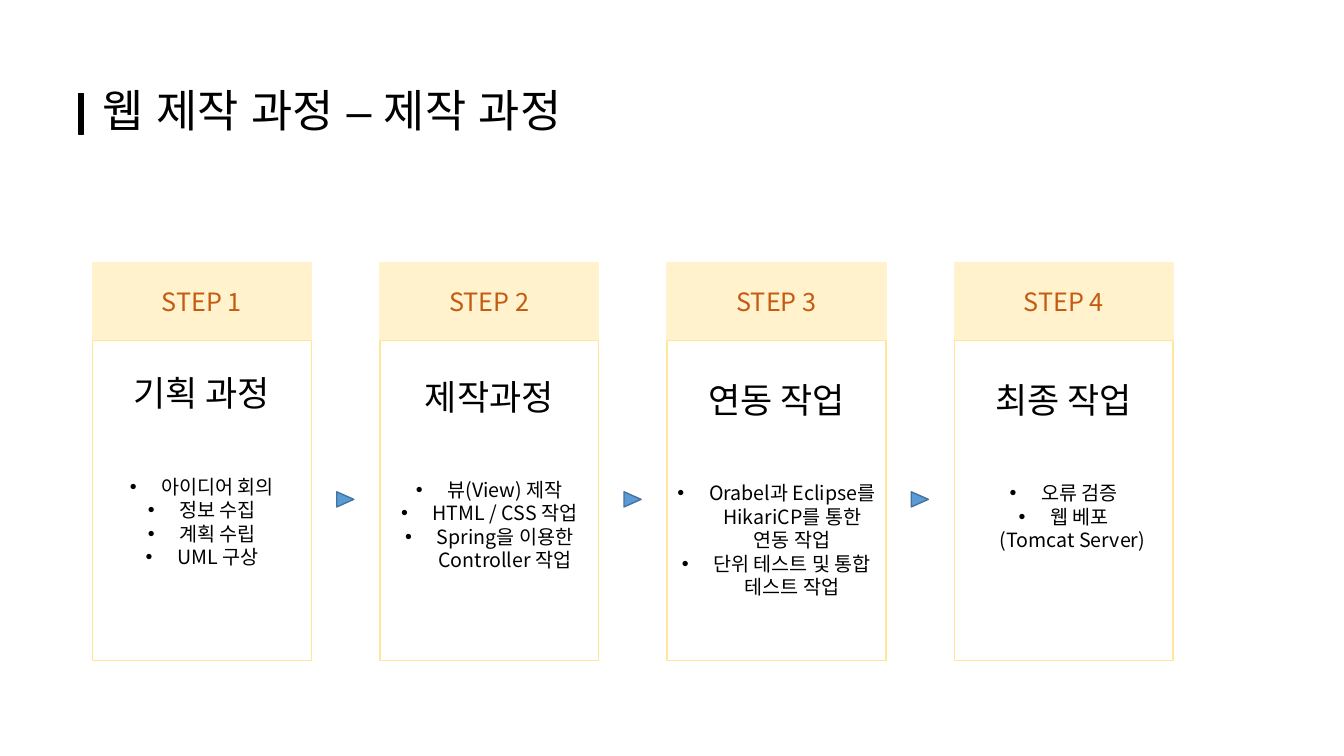
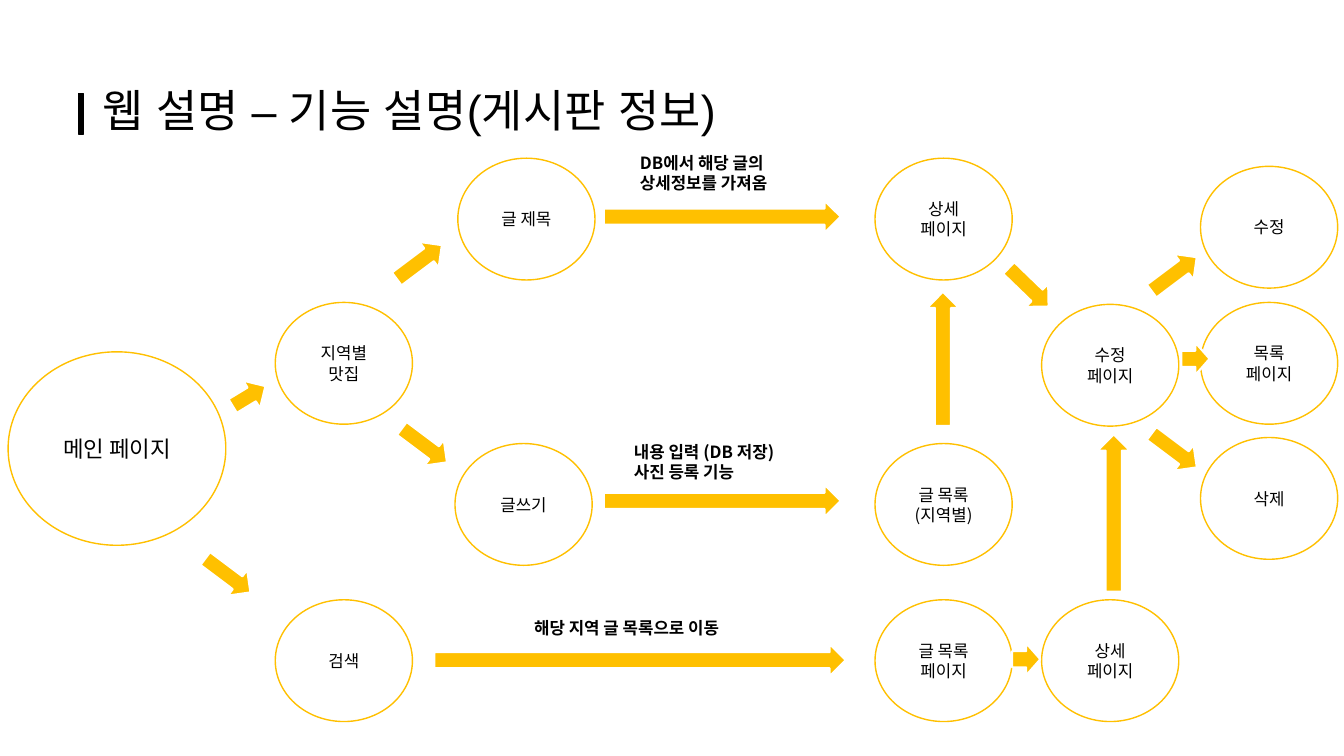
from lxml import etree
from pptx import Presentation
from pptx.dml.color import RGBColor
from pptx.enum.shapes import MSO_SHAPE
from pptx.enum.text import MSO_ANCHOR, PP_ALIGN
from pptx.oxml.ns import qn
from pptx.util import Pt

LEFT, CENTER = PP_ALIGN.LEFT, PP_ALIGN.CENTER
TOP, MIDDLE = MSO_ANCHOR.TOP, MSO_ANCHOR.MIDDLE
BAR, PROCESS = MSO_SHAPE.RECTANGLE, MSO_SHAPE.FLOWCHART_PROCESS
ELLIPSE, ARROW = MSO_SHAPE.OVAL, MSO_SHAPE.RIGHT_ARROW
TRIANGLE = MSO_SHAPE.ISOSCELES_TRIANGLE

COLORS = {
    "black": "000000", "white": "FFFFFF", "cream": "FFF2CC",
    "yellow": "FFE699", "amber": "FFC000", "rust": "C55A11",
    "blue": "5B9BD5", "navy": "43739E",
}
TITLE_FONT, BODY_FONT = "Arial", "Noto Sans CJK KR"
LINE_FACTOR = 1.2
BULLET_INDENT = 22.5
ARROW_HEIGHT = 23


def color(name):
    return RGBColor.from_string(COLORS[name])


class Deck:
    """Holds the presentation, its style and the current slide."""

    def __init__(self):
        self.presentation = Presentation()
        self.presentation.slide_width = Pt(960)
        self.presentation.slide_height = Pt(540)
        self.slide = None

    def add_slide(self, title):
        layout = self.presentation.slide_layouts[5]
        self.slide = self.presentation.slides.add_slide(layout)
        shape = self.slide.shapes.title
        shape.left, shape.top = Pt(66.2), Pt(28.8)
        shape.width, shape.height = Pt(828), Pt(104.4)
        frame = shape.text_frame
        frame.text = title
        frame.word_wrap = True
        frame.vertical_anchor = MIDDLE
        paragraph = frame.paragraphs[0]
        self.style_paragraph(paragraph, 32, align=LEFT, font=TITLE_FONT)
        paragraph.line_spacing = 0.9
        self.shape(BAR, 56.2, 67, 3.6, 28.8, "black", "black")

    def style_paragraph(self, paragraph, size, name="black", align=CENTER,
                        bold=False, font=BODY_FONT):
        paragraph.alignment = align
        paragraph.line_spacing = Pt(LINE_FACTOR * size)
        paragraph.font.size = Pt(size)
        paragraph.font.bold = bold
        paragraph.font.color.rgb = color(name)
        paragraph.font.name = font
        properties = paragraph._p.get_or_add_pPr().find(qn("a:defRPr"))
        etree.SubElement(properties, qn("a:ea"), typeface=font)

    def fill_text(self, frame, lines, size, **style):
        frame.text = "\n".join(lines)
        frame.word_wrap = True
        for paragraph in frame.paragraphs:
            self.style_paragraph(paragraph, size, **style)

    def shape(self, kind, left, top, width, height, fill, line,
              line_width=1, rotation=0):
        shape = self.slide.shapes.add_shape(
            kind, Pt(left), Pt(top), Pt(width), Pt(height))
        shape.shadow.inherit = False
        shape.fill.solid()
        shape.fill.fore_color.rgb = color(fill)
        shape.line.color.rgb = color(line)
        shape.line.width = Pt(line_width)
        shape.rotation = rotation
        return shape

    def node(self, left, top, lines, width=98, height=87, size=12):
        shape = self.shape(ELLIPSE, left, top, width, height, "white", "amber")
        shape.text_frame.vertical_anchor = MIDDLE
        self.fill_text(shape.text_frame, lines, size)

    def arrow(self, left, top, length, rotation=0):
        self.shape(ARROW, left, top, length, ARROW_HEIGHT, "amber", "white",
                   1.5, rotation)

    def label(self, left, top, width, height, lines):
        box = self.slide.shapes.add_textbox(
            Pt(left), Pt(top), Pt(width), Pt(height))
        self.fill_text(box.text_frame, lines, 12, align=LEFT, bold=True)

    def step_card(self, left, number, heading, inset, bullets, note=None):
        """Draw a step header over a card; the note is an unbulleted last line."""
        header = self.shape(PROCESS, left, 188, 156.2, 54.7, "cream", "cream")
        header.text_frame.vertical_anchor = MIDDLE
        self.fill_text(header.text_frame, [f"STEP {number}"], 18, name="rust")

        card = self.shape(PROCESS, left, 243.4, 156.2, 228.2, "white", "yellow")
        frame = card.text_frame
        frame.word_wrap = True
        frame.vertical_anchor = TOP
        frame.margin_top = Pt(inset)
        paragraph = frame.paragraphs[0]
        paragraph.text = heading
        self.style_paragraph(paragraph, 25)
        paragraph.space_after = Pt(43.2)
        for text in bullets:
            self.card_line(frame, text, BULLET_INDENT, bullet=True)
        if note:
            self.card_line(frame, note, 12.5)

    def card_line(self, frame, text, margin, bullet=False):
        paragraph = frame.add_paragraph()
        paragraph.text = text
        properties = paragraph._p.get_or_add_pPr()
        properties.set("marL", str(Pt(margin)))
        properties.set("indent", str(-Pt(margin) if bullet else 0))
        if bullet:
            etree.SubElement(properties, qn("a:buFont"), typeface="Arial")
            etree.SubElement(properties, qn("a:buChar"), char="•")
        self.style_paragraph(paragraph, 14)


STEPS = [
    ("기획 과정", 22.3, ["아이디어 회의", "정보 수집", "계획 수립", "UML 구상"]),
    ("제작과정", 24.7,
     ["뷰(View) 제작", "HTML / CSS 작업", "Spring을 이용한 Controller 작업"]),
    ("연동 작업", 27.1,
     ["Orabel과 Eclipse를 HikariCP를 통한 연동 작업",
      "단위 테스트 및 통합 테스트 작업"]),
    ("최종 작업", 27.1, ["오류 검증", "웹 베포"], "(Tomcat Server)"),
]
STEP_LEFT, STEP_PITCH = 66.2, 205.2

# Columns and rows of the page map
AREA_X, POST_X, LIST_X, EDIT_X, ACTION_X = 196.6, 326, 625, 744, 857.5
TOP_Y, AREA_Y, WRITE_Y, SEARCH_Y = 113, 216, 316.8, 428.4
UP, DOWN, VERTICAL = 323.1, 36.9, 270

NODES = [
    (AREA_X, AREA_Y, ["지역별", "맛집"]),
    (AREA_X, SEARCH_Y, ["검색"]),
    (POST_X + 1, TOP_Y, ["글 제목"]),
    (POST_X - 1, WRITE_Y, ["글쓰기"]),
    (LIST_X, TOP_Y, ["상세", "페이지"]),
    (LIST_X, WRITE_Y, ["글 목록", "(지역별)"]),
    (LIST_X, SEARCH_Y, ["글 목록", "페이지"]),
    (EDIT_X, AREA_Y + 1.4, ["수정", "페이지"]),
    (EDIT_X, SEARCH_Y, ["상세", "페이지"]),
    (ACTION_X, 118.8, ["수정"]),
    (ACTION_X, AREA_Y, ["목록", "페이지"]),
    (ACTION_X, 312.5, ["삭제"]),
]
ARROWS = [
    (164.2, 271.4, 27.4, 328.7),
    (142.6, 399.6, 40.3, DOWN),
    (279.4, 175.7, 40.3, UP),
    (283, 306.7, 40.3, DOWN),
    (431.3, 143.3, 169.2),
    (431.3, 346.3, 169.2),
    (310.3, 460.1, 293.8),
    (625.7, 244.8, 95.8, VERTICAL),
    (739.4, 355, 112.3, VERTICAL),
    (715, 193.7, 39.6, 44),
    (722.9, 459.4, 20.2),
    (843.8, 244.8, 20.2),
    (818.6, 184.3, 40.3, UP),
    (818.6, 310.3, 40.3, DOWN),
]
LABELS = [
    (450, 105.8, 137.5, 36, ["DB에서 해당 글의", "상세정보를 가져옴"]),
    (445.7, 311.8, 143.3, 36, ["내용 입력 (DB 저장)", "사진 등록 기능"]),
    (374.4, 437.8, 169.2, 21.6, ["해당 지역 글 목록으로 이동"]),
]


def build_process(deck):
    deck.add_slide("웹 제작 과정 – 제작 과정")
    for index, step in enumerate(STEPS):
        left = STEP_LEFT + index * STEP_PITCH
        deck.step_card(left, index + 1, *step)
        if index:
            deck.shape(TRIANGLE, left - 30.2, 350.6, 10.8, 12.2,
                       "blue", "navy", rotation=90)


def build_page_map(deck):
    deck.add_slide("웹 설명 – 기능 설명(게시판 정보)")
    deck.node(5.8, 251.3, ["메인 페이지"], width=155.5, height=138.2, size=16)
    for node in NODES:
        deck.node(*node)
    for arrow in ARROWS:
        deck.arrow(*arrow)
    for label in LABELS:
        deck.label(*label)


def main():
    deck = Deck()
    build_process(deck)
    build_page_map(deck)
    deck.presentation.save("out.pptx")


if __name__ == "__main__":
    main()
